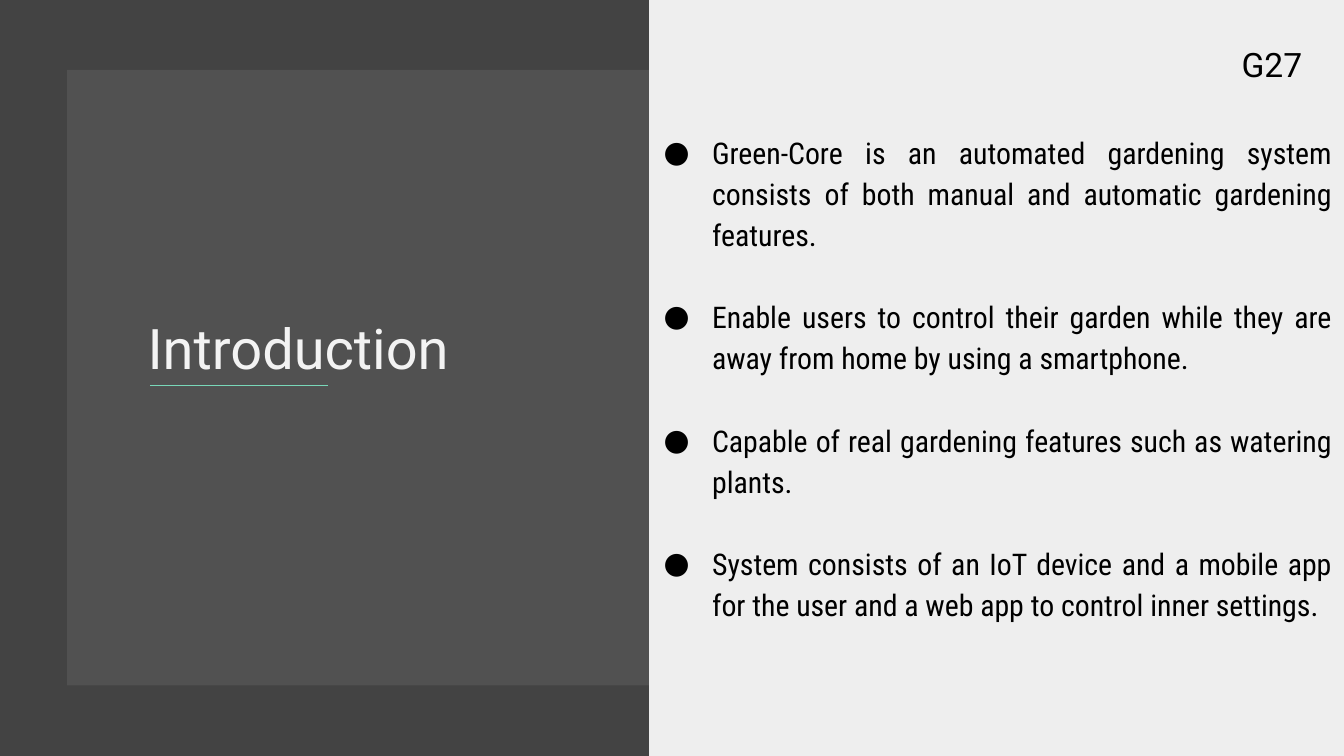
from lxml import etree
from pptx import Presentation
from pptx.dml.color import RGBColor
from pptx.enum.shapes import MSO_CONNECTOR, MSO_SHAPE
from pptx.enum.text import MSO_ANCHOR, PP_ALIGN
from pptx.oxml.ns import qn
from pptx.util import Inches, Pt

RECTANGLE = MSO_SHAPE.RECTANGLE
STRAIGHT = MSO_CONNECTOR.STRAIGHT
TOP, BOTTOM = MSO_ANCHOR.TOP, MSO_ANCHOR.BOTTOM
JUSTIFY = PP_ALIGN.JUSTIFY

TITLE = "Introduction"
GROUP = "G27"
POINTS = [
    "Green-Core is an automated gardening system consists of both manual and "
    "automatic gardening features.",
    "Enable users to control their garden while they are away from home by using a smartphone.",
    "Capable of real gardening features such as watering plants.",
    "System consists of an IoT device and a mobile app for the user and a web app "
    "to control inner settings.",
]

TITLE_FORMAT = {"name": "Roboto", "size": Pt(30), "color": "F3F3F3"}
GROUP_FORMAT = {"name": "Roboto", "size": Pt(18), "color": "000000"}
POINT_FORMAT = {"name": "Roboto Condensed", "size": Pt(16), "color": "000000"}
LINE_SPACING = 1.15
POINT_GAP = Pt(22)  # one line of body text
BULLET = "●"

WIDTH = 10
HEIGHT = WIDTH * 9 / 16
PANEL_LEFT = 4.83


def color(value):
    return RGBColor.from_string(value)


def add_rectangle(slide, box, fill, opacity=None):
    shape = slide.shapes.add_shape(RECTANGLE, *map(Inches, box))
    shape.shadow.inherit = False
    shape.line.fill.background()
    shape.fill.solid()
    shape.fill.fore_color.rgb = color(fill)
    if opacity is not None:
        fill_color = shape._element.spPr.find(".//" + qn("a:srgbClr"))
        etree.SubElement(fill_color, qn("a:alpha"), val=str(opacity * 1000))


def add_bullet(paragraph):
    properties = paragraph._p.get_or_add_pPr()
    properties.set("marL", str(Inches(0.5)))
    properties.set("indent", str(Inches(-0.36)))
    bullet_color = etree.SubElement(properties, qn("a:buClr"))
    etree.SubElement(bullet_color, qn("a:srgbClr"), val=POINT_FORMAT["color"])
    etree.SubElement(properties, qn("a:buFont"), typeface=POINT_FORMAT["name"])
    etree.SubElement(properties, qn("a:buChar"), char=BULLET)


def add_text(slide, box, texts, text_format, anchor=TOP, spacing=None, bulleted=False):
    frame = slide.shapes.add_textbox(*map(Inches, box)).text_frame
    frame.word_wrap = True
    frame.vertical_anchor = anchor
    for side in ("left", "top", "right", "bottom"):
        setattr(frame, f"margin_{side}", Inches(0.1))
    for index, text in enumerate(texts):
        paragraph = frame.add_paragraph() if index else frame.paragraphs[0]
        if spacing:
            paragraph.line_spacing = spacing
        if index:
            paragraph.space_before = POINT_GAP
        if bulleted:
            paragraph.alignment = JUSTIFY
            add_bullet(paragraph)
        run = paragraph.add_run()
        run.text = text
        for key, value in text_format.items():
            if key == "color":
                run.font.color.rgb = color(value)
            else:
                setattr(run.font, key, value)


def add_line(slide, start, end, line_color, width):
    line = slide.shapes.add_connector(STRAIGHT, *map(Inches, start + end))
    line.line.color.rgb = color(line_color)
    line.line.width = Pt(width)
    etree.SubElement(line._element.spPr, qn("a:effectLst"))


def main():
    presentation = Presentation()
    presentation.slide_width = Inches(WIDTH)
    presentation.slide_height = Inches(HEIGHT)
    slide = presentation.slides.add_slide(presentation.slide_layouts[6])
    slide.background.fill.solid()
    slide.background.fill.fore_color.rgb = color("434343")

    add_rectangle(slide, (0.5, 0.52, 4.5, 4.58), "666666", opacity=40)
    add_text(slide, (1, 1.71, 3.34, 1.22), [TITLE], TITLE_FORMAT, BOTTOM, LINE_SPACING)
    add_rectangle(slide, (PANEL_LEFT, 0, WIDTH - PANEL_LEFT, HEIGHT), "EEEEEE")
    add_line(slide, (2.44, 2.87), (1.12, 2.87), "79D8B9", 0.75)
    add_text(slide, (4.7, 0.86, 5.31, 4.5), POINTS, POINT_FORMAT,
             spacing=LINE_SPACING, bulleted=True)
    add_text(slide, (9.14, 0.23, 0.66, 0.42), [GROUP], GROUP_FORMAT)
    presentation.save("out.pptx")


if __name__ == "__main__":
    main()
